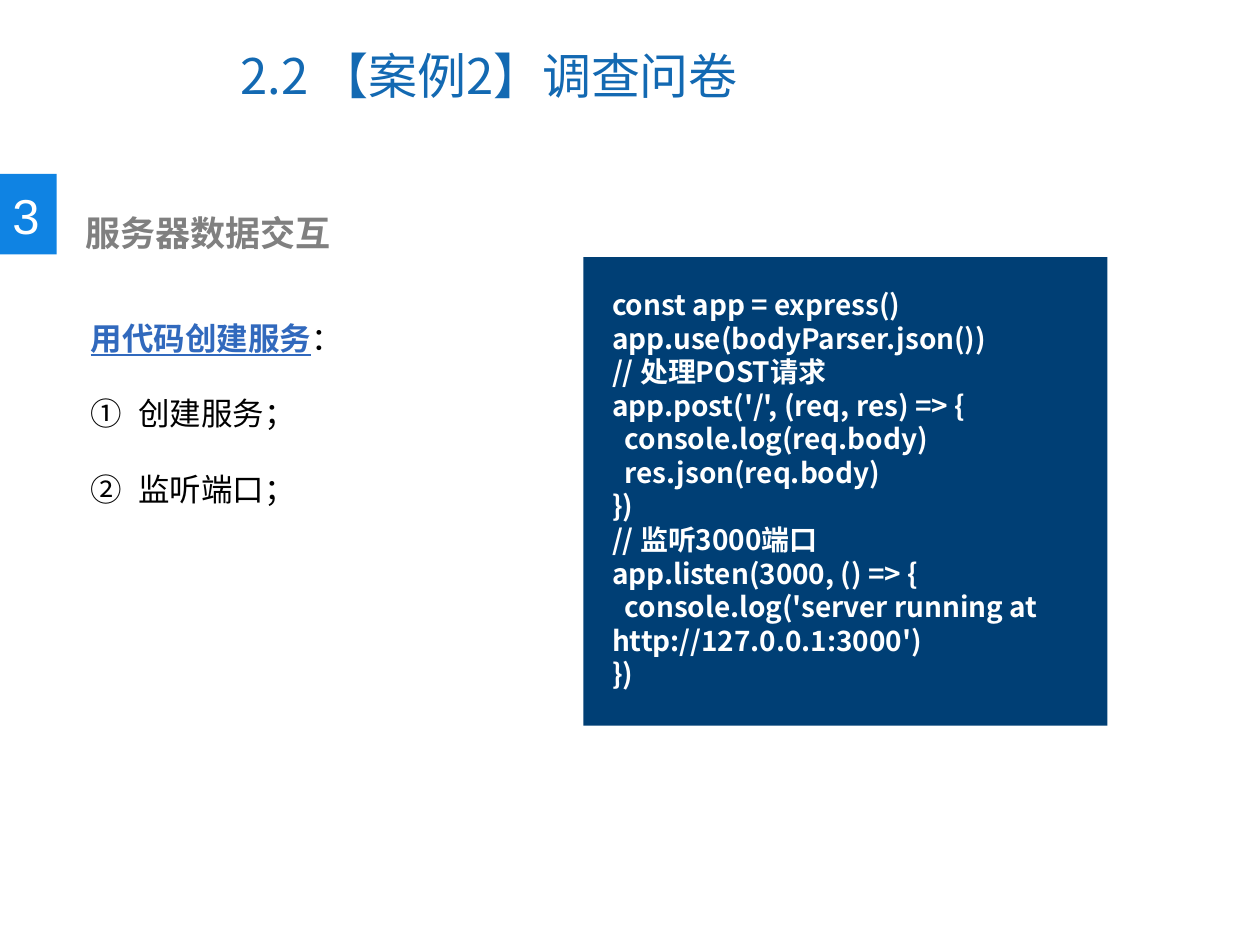
from lxml import etree
from pptx import Presentation
from pptx.dml.color import RGBColor
from pptx.enum.shapes import MSO_SHAPE as SHAPE
from pptx.enum.text import MSO_ANCHOR as ANCHOR
from pptx.oxml.ns import qn
from pptx.util import Inches, Pt

CJK = "Noto Sans CJK SC"
LATIN = "Arial"
WHITE = "FFFFFF"

CODE = """const app = express()
app.use(bodyParser.json())
// 处理POST请求
app.post('/', (req, res) => {
  console.log(req.body)
  res.json(req.body)
})
// 监听3000端口
app.listen(3000, () => {
  console.log('server running at http://127.0.0.1:3000')
})""".split("\n")


def rgb(color):
    return RGBColor.from_string(color)


def add_rect(slide, x, y, w, h, color):
    sp = slide.shapes.add_shape(SHAPE.RECTANGLE, Inches(x), Inches(y), Inches(w), Inches(h))
    sp.shadow.inherit = False
    sp.fill.solid()
    sp.fill.fore_color.rgb = rgb(color)
    sp.line.fill.background()


def add_text_frame(slide, x, y, w, h, wrap=True):
    tf = slide.shapes.add_textbox(Inches(x), Inches(y), Inches(w), Inches(h)).text_frame
    tf.word_wrap = wrap
    return tf


def add_paragraph(tf, index, line_spacing=None):
    p = tf.add_paragraph() if index else tf.paragraphs[0]
    if line_spacing:
        p.line_spacing = line_spacing
    return p


def add_run(p, text, size, color, font=CJK, bold=False, underline=False):
    r = p.add_run()
    r.text = text
    r.font.size = Pt(size)
    r.font.bold = bold
    r.font.underline = underline
    r.font.color.rgb = rgb(color)
    r.font.name = font
    ea = etree.SubElement(r.font._element, qn("a:ea"))
    ea.set("typeface", CJK)


def number_with_circle(p):
    pPr = p._p.get_or_add_pPr()
    pPr.set("marL", str(Inches(0.38)))
    pPr.set("indent", str(-Inches(0.38)))
    etree.SubElement(pPr, qn("a:buAutoNum")).set("type", "circleNumDbPlain")


def add_title(slide, x, y, w, h):
    tf = add_text_frame(slide, x, y, w, h)
    tf.vertical_anchor = ANCHOR.MIDDLE
    add_run(tf.paragraphs[0], "2.2 【案例2】调查问卷", 28, "1369B2")


def add_section_heading(slide, x, y, w, h):
    """Numbered tab at the slide edge with the section name beside it."""
    add_rect(slide, x, y, 0.45, h, "0F83E3")
    number = add_text_frame(slide, x, y + 0.04, 0.42, 0.57, wrap=False)
    add_run(number.paragraphs[0], "3", 28, WHITE, LATIN)
    name = add_text_frame(slide, x + 0.58, y + 0.25, w - 0.58, 0.44)
    add_run(name.paragraphs[0], "服务器数据交互", 20, "808080", bold=True)


def add_steps(slide, x, y, w, h):
    tf = add_text_frame(slide, x, y, w, h)
    p = add_paragraph(tf, 0, 2)
    add_run(p, "用代码创建服务", 18, "3169BD", LATIN, bold=True, underline=True)
    add_run(p, "：", 18, "000000", LATIN)
    for i, step in enumerate(["创建服务；", "监听端口；"], 1):
        p = add_paragraph(tf, i, 2)
        number_with_circle(p)
        add_run(p, step, 18, "000000", LATIN)


def add_code_panel(slide, x, y, w, h):
    add_rect(slide, x, y, w, h, "003F75")
    tf = add_text_frame(slide, x + 0.13, y + 0.06, w - 0.14, h - 0.06)
    for i, line in enumerate(CODE):
        p = add_paragraph(tf, i, None if i else 1.5)
        add_run(p, line, 16, WHITE, bold=True)


def main():
    prs = Presentation()
    prs.slide_width, prs.slide_height = Inches(10), Inches(7.5)
    slide = prs.slides.add_slide(prs.slide_layouts[6])
    add_title(slide, 1.81, 0.17, 5.16, 0.85)
    add_section_heading(slide, 0, 1.38, 5.61, 0.64)
    add_steps(slide, 0.62, 2.18, 8.65, 1.92)
    add_code_panel(slide, 4.63, 2.04, 4.16, 3.72)
    prs.save("out.pptx")


if __name__ == "__main__":
    main()
